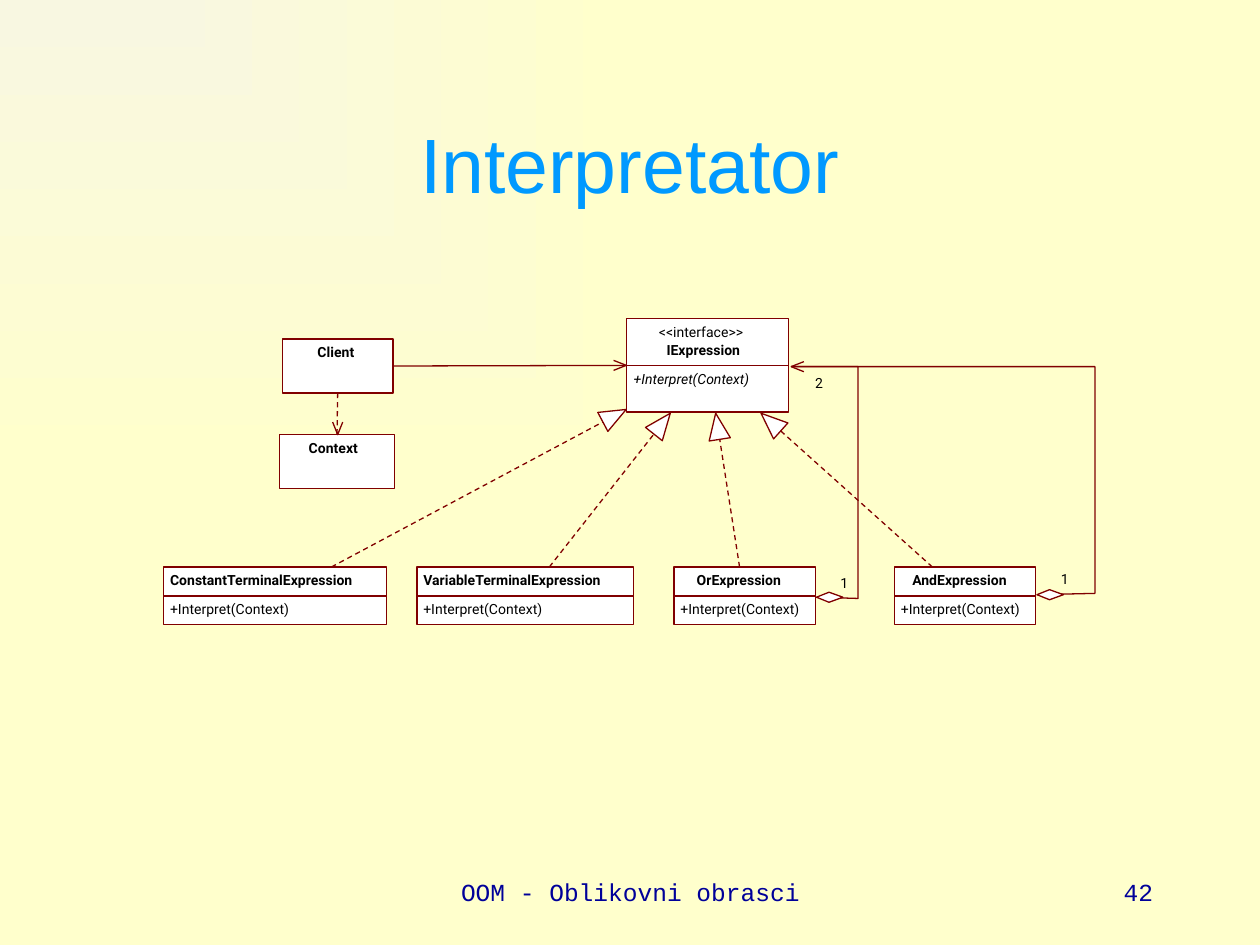
from math import hypot

from lxml.etree import SubElement
from pptx import Presentation
from pptx.dml.color import RGBColor
from pptx.enum.dml import MSO_LINE
from pptx.enum.shapes import MSO_CONNECTOR, MSO_SHAPE
from pptx.enum.text import MSO_ANCHOR, MSO_AUTO_SIZE, PP_ALIGN
from pptx.oxml.ns import qn
from pptx.util import Inches, Pt

CREAM = RGBColor(0xF8, 0xF7, 0xE1)
YELLOW = RGBColor(0xFF, 0xFF, 0xCC)
SKY = RGBColor(0x00, 0x99, 0xFF)
NAVY = RGBColor(0x00, 0x00, 0x99)
MAROON = RGBColor(0x80, 0x00, 0x00)
WHITE = RGBColor(0xFF, 0xFF, 0xFF)
BLACK = RGBColor(0x00, 0x00, 0x00)

TOP, LEFT, BOTTOM, RIGHT = range(4)
METHOD = "+Interpret(Context)"
CLASS_TOP = 4.5

# Name, box left, box width, name left, name width, link start x, link tip
EXPRESSIONS = [
    ("ConstantTerminalExpression", 1.3, 1.77, 1.35, 1.87, 2.63, (4.97, 3.25)),
    ("VariableTerminalExpression", 3.31, 1.72, 3.36, 1.81, 4.36, (5.32, 3.28)),
    ("OrExpression", 5.35, 1.12, 5.53, 0.9, 5.87, (5.68, 3.28)),
    ("AndExpression", 7.1, 1.12, 7.24, 0.99, 7.4, (6.04, 3.28)),
]


def style_font(font, name, size, color):
    font.name, font.size, font.color.rgb = name, Pt(size), color


def paint_background(slide):
    """Rectangular gradient that starts in the top left corner."""
    fill = slide.background.fill
    fill.gradient()
    for stop, color in zip(fill.gradient_stops, (CREAM, YELLOW)):
        stop.color.rgb = color
    gradient = slide.element.find(".//" + qn("a:gradFill"))
    gradient.remove(gradient.find(qn("a:lin")))
    shade = SubElement(gradient, qn("a:path"))
    shade.set("path", "rect")
    focus = SubElement(shade, qn("a:fillToRect"))
    focus.set("r", "100000")
    focus.set("b", "100000")


def add_title(slide, text):
    title = slide.shapes.title
    title.left, title.top = Inches(0.75), Inches(0.67)
    title.width, title.height = Inches(8.5), Inches(1.25)
    title.text_frame.text = text
    title.text_frame.vertical_anchor = MSO_ANCHOR.MIDDLE
    para = title.text_frame.paragraphs[0]
    para.alignment = PP_ALIGN.CENTER
    style_font(para.font, "Arial", 44, SKY)


def add_footer(slide, text, left, width, alignment):
    box = slide.shapes.add_textbox(Inches(left), Inches(6.83), Inches(width), Inches(0.5))
    frame = box.text_frame
    frame.word_wrap = True
    frame.vertical_anchor = MSO_ANCHOR.MIDDLE
    frame.text = text
    para = frame.paragraphs[0]
    para.alignment = alignment
    style_font(para.font, "Courier New", 14, NAVY)


def add_label(slide, text, left, top, width, bold=False, italic=False):
    box = slide.shapes.add_textbox(Inches(left), Inches(top), Inches(width), Inches(0.17))
    frame = box.text_frame
    frame.margin_left = frame.margin_right = frame.margin_top = frame.margin_bottom = 0
    frame.word_wrap = False
    frame.auto_size = MSO_AUTO_SIZE.SHAPE_TO_FIT_TEXT
    frame.text = text
    font = frame.paragraphs[0].font
    style_font(font, "Roboto", 8, BLACK)
    font.bold, font.italic = bold, italic


def style_shape(shape, filled=True):
    shape.shadow.inherit = False
    if filled:
        shape.fill.solid()
        shape.fill.fore_color.rgb = WHITE
    else:
        shape.fill.background()
    shape.line.color.rgb = MAROON
    shape.line.width = Pt(0.75)


def add_box(slide, left, top, width, height):
    box = slide.shapes.add_shape(
        MSO_SHAPE.RECTANGLE, Inches(left), Inches(top), Inches(width), Inches(height))
    style_shape(box)
    return box


def add_line(slide, start=(0, 0), end=(0, 0), dashed=False):
    line = slide.shapes.add_connector(
        MSO_CONNECTOR.STRAIGHT, *(Inches(value) for value in (*start, *end)))
    line.line.color.rgb = MAROON
    line.line.width = Pt(0.75)
    if dashed:
        line.line.dash_style = MSO_LINE.DASH
    SubElement(line.element.spPr, qn("a:effectLst"))
    return line


def join_boxes(slide, first, first_side, second, second_side, dashed=False):
    line = add_line(slide, dashed=dashed)
    line.begin_connect(first, first_side)
    line.end_connect(second, second_side)


def add_outline(slide, points, closed=False):
    """Closed outlines are white, open ones have no fill."""
    corners = [(Inches(x), Inches(y)) for x, y in points]
    builder = slide.shapes.build_freeform(*corners[0])
    builder.add_line_segments(corners[1:], close=closed)
    style_shape(builder.convert_to_shape(), filled=closed)


def head_points(tip, toward, length, half_width):
    """Corners of an arrowhead whose base lies in the direction of toward."""
    (x, y), (far_x, far_y) = tip, toward
    distance = hypot(far_x - x, far_y - y)
    dx, dy = (far_x - x) / distance, (far_y - y) / distance
    base_x, base_y = x + dx * length, y + dy * length
    return [(base_x - dy * half_width, base_y + dx * half_width), tip,
            (base_x + dy * half_width, base_y - dx * half_width)]


def add_open_head(slide, tip, toward):
    add_outline(slide, head_points(tip, toward, 0.1, 0.04))


def add_realization(slide, start, tip):
    add_line(slide, start, tip, dashed=True)
    add_outline(slide, head_points(tip, start, 0.21, 0.085), closed=True)


def add_aggregation(slide, source, turn_x, turn_y, label_left, label_top):
    """Elbow from the interface back to a diamond on the owning class."""
    x, y = source
    add_outline(slide, [(6.28, 2.91), (turn_x, 2.91), (turn_x, turn_y), source])
    add_outline(slide, [(x + 0.1, y - 0.04), source, (x + 0.1, y + 0.04), (x + 0.21, y)],
                closed=True)
    add_label(slide, "1", label_left, label_top, 0.11)


def main():
    deck = Presentation()
    deck.slide_width, deck.slide_height = Inches(10), Inches(7.5)
    slide = deck.slides.add_slide(deck.slide_layouts[5])
    paint_background(slide)

    # Title and footer
    add_title(slide, "Interpretator")
    add_footer(slide, "OOM - Oblikovni obrasci", 3.42, 3.17, PP_ALIGN.CENTER)
    add_footer(slide, "42", 7.17, 2.08, PP_ALIGN.RIGHT)

    # Interface
    interface = add_box(slide, 4.97, 2.53, 1.29, 0.74)
    add_label(slide, "<<interface>>", 5.23, 2.57, 0.9)
    add_label(slide, "IExpression", 5.29, 2.71, 0.8, bold=True)
    add_label(slide, METHOD, 5.03, 2.94, 1.16, italic=True)
    join_boxes(slide, interface, LEFT, interface, RIGHT)

    # Expression classes that realize the interface
    for name, left, width, name_left, name_width, link_x, tip in EXPRESSIONS:
        box = add_box(slide, left, CLASS_TOP, width, 0.46)
        add_label(slide, name, name_left, CLASS_TOP + 0.04, name_width, bold=True)
        add_label(slide, METHOD, left + 0.05, CLASS_TOP + 0.27, 1.16)
        join_boxes(slide, box, LEFT, box, RIGHT)
        add_realization(slide, (link_x, CLASS_TOP), tip)

    # Aggregations of the composite expressions
    add_aggregation(slide, (6.48, 4.74), 6.81, 4.75, 6.67, 4.56)
    add_aggregation(slide, (8.23, 4.72), 8.69, 4.71, 8.42, 4.53)
    add_open_head(slide, (6.28, 2.91), (6.81, 2.91))
    add_label(slide, "2", 6.47, 2.97, 0.11)

    # Client and context
    client = add_box(slide, 2.24, 2.69, 0.88, 0.43)
    add_label(slide, "Client", 2.52, 2.73, 0.43, bold=True)
    context = add_box(slide, 2.22, 3.45, 0.91, 0.43)
    add_label(slide, "Context", 2.45, 3.49, 0.55, bold=True)
    join_boxes(slide, client, RIGHT, interface, LEFT)
    add_open_head(slide, (4.97, 2.9), (3.12, 2.9))
    join_boxes(slide, client, BOTTOM, context, TOP, dashed=True)
    add_open_head(slide, (2.68, 3.45), (2.68, 3.12))

    deck.save("out.pptx")


if __name__ == "__main__":
    main()
